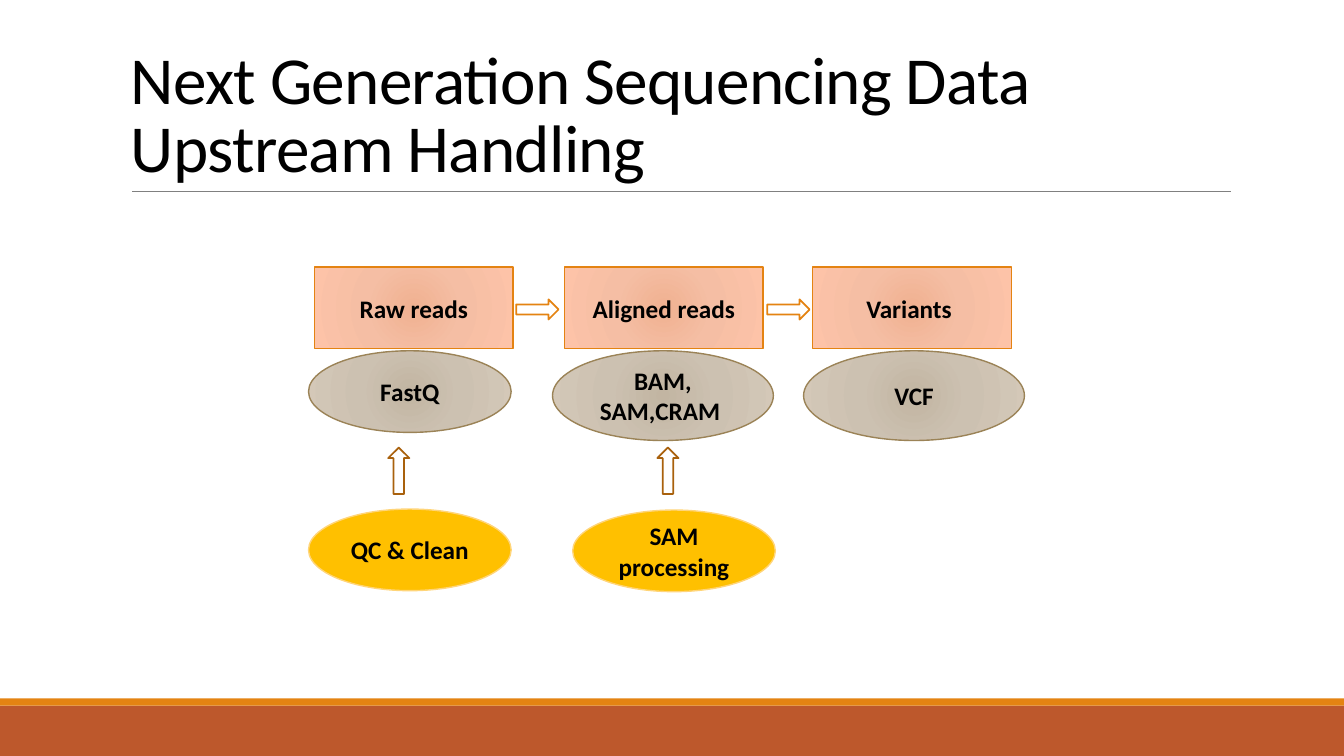
import pptx
import pptx.util
import pptx.dml.color
import pptx.enum.shapes
import pptx.enum.text
import pptx.oxml
import pptx.oxml.ns
from dataclasses import dataclass
from pptx.util import Inches

SHAPE = pptx.enum.shapes.MSO_SHAPE
ANCHOR = pptx.enum.text.MSO_ANCHOR


@dataclass(frozen=True)
class Theme:
    font: str = "Calibri"
    title_size: int = 48
    label_size: int = 18
    text: str = "000000"
    white: str = "FFFFFF"
    rule: str = "808080"
    orange: str = "E48312"
    rust: str = "BD582C"
    brown: str = "A9610D"
    khaki: str = "9B8357"
    gold: str = "FFC000"
    pale_gold: str = "FFD579"
    # Radial gradients: colours at 0, 45 and 100 percent
    peach: tuple = ("F0B191", "F5BEA4", "FDC3A8")
    taupe: tuple = ("C2B5A2", "CCC1B1", "D4C8B8")


THEME = Theme()


def rgb(color):
    return pptx.dml.color.RGBColor.from_string(color)


def fill_radial(sp, colors):
    stops = "".join(
        f'<a:gs pos="{pos * 1000}"><a:srgbClr val="{color}"/></a:gs>'
        for pos, color in zip((0, 45, 100), colors))
    grad = pptx.oxml.parse_xml(
        f'<a:gradFill {pptx.oxml.ns.nsdecls("a")} rotWithShape="1">'
        f'<a:gsLst>{stops}</a:gsLst><a:path path="circle">'
        '<a:fillToRect l="100000" t="100000" r="100000" b="100000"/>'
        '</a:path></a:gradFill>')
    sp._element.spPr.find(pptx.oxml.ns.qn("a:prstGeom")).addnext(grad)


def add_shape(s, kind, box, fill=None, line=None, width=1):
    sp = s.shapes.add_shape(kind, *map(Inches, box))
    sp.shadow.inherit = False
    if isinstance(fill, tuple):
        fill_radial(sp, fill)
    elif fill:
        sp.fill.solid()
        sp.fill.fore_color.rgb = rgb(fill)
    else:
        sp.fill.background()
    if line:
        sp.line.color.rgb = rgb(line)
        sp.line.width = pptx.util.Pt(width)
    else:
        sp.line.fill.background()
    return sp


def set_text(sp, text, size, bold, anchor, align):
    tf = sp.text_frame
    tf.word_wrap = True
    tf.vertical_anchor = anchor
    p = tf.paragraphs[0]
    p.alignment = align
    p.add_run().text = text
    p.font.name = THEME.font
    p.font.size = pptx.util.Pt(size)
    p.font.bold = bold
    p.font.color.rgb = rgb(THEME.text)
    return p


def add_node(s, kind, box, text, fill, line):
    sp = add_shape(s, kind, box, fill, line)
    set_text(sp, text, THEME.label_size, True, ANCHOR.MIDDLE,
             pptx.enum.text.PP_ALIGN.CENTER)


def add_title(s, text):
    tb = s.shapes.add_textbox(*map(Inches, (1.2, 0.31, 11, 1.59)))
    p = set_text(tb, text, THEME.title_size, False, ANCHOR.BOTTOM,
                 pptx.enum.text.PP_ALIGN.LEFT)
    p.line_spacing = 0.85
    p.runs[0]._r.get_or_add_rPr().set("spc", "-50")


def add_rule(s, x1, x2, y):
    line = s.shapes.add_connector(pptx.enum.shapes.MSO_CONNECTOR.STRAIGHT,
                                  *map(Inches, (x1, y, x2, y)))
    line.line.color.rgb = rgb(THEME.rule)
    line.line.width = pptx.util.Pt(0.5)
    line._element.spPr.append(pptx.oxml.parse_xml(
        f'<a:effectLst {pptx.oxml.ns.nsdecls("a")}/>'))


def main():
    prs = pptx.Presentation()
    prs.slide_width, prs.slide_height = Inches(13.33), Inches(7.5)
    s = prs.slides.add_slide(prs.slide_layouts[6])

    # Footer bands, title and rule
    add_shape(s, SHAPE.RECTANGLE, (0, 7, 13.33, 0.5), THEME.rust)
    add_shape(s, SHAPE.RECTANGLE, (0, 6.93, 13.33, 0.07), THEME.orange)
    add_rule(s, 1.31, 12.21, 1.9)
    add_title(s, "Next Generation Sequencing Data Upstream Handling")

    # Pipeline stages
    for x, text in ((3.12, "Raw reads"), (5.6, "Aligned reads"),
                    (8.06, "Variants ")):
        add_node(s, SHAPE.RECTANGLE, (x, 2.65, 1.97, 0.81), text,
                 THEME.peach, THEME.orange)
    for x in (5.12, 7.61):
        add_shape(s, SHAPE.RIGHT_ARROW, (x, 2.97, 0.42, 0.2),
                  THEME.white, THEME.orange, 1.25)

    # File formats
    for x, w, h, text in ((3.06, 2.01, 0.81, "FastQ"),
                          (5.48, 2.19, 0.89, "BAM, SAM,CRAM "),
                          (7.97, 2.19, 0.89, "VCF")):
        add_node(s, SHAPE.OVAL, (x, 3.48, w, h), text,
                 THEME.taupe, THEME.khaki)

    # Processing steps
    for x, y, text in ((3.06, 5.05, "QC & Clean"),
                       (5.68, 5.06, "SAM processing")):
        add_node(s, SHAPE.OVAL, (x, y, 2.01, 0.81), text,
                 THEME.gold, THEME.pale_gold)
    for x in (3.85, 6.52):
        add_shape(s, SHAPE.UP_ARROW, (x, 4.44, 0.21, 0.46),
                  line=THEME.brown, width=1.25)

    prs.save("out.pptx")


if __name__ == "__main__":
    main()
